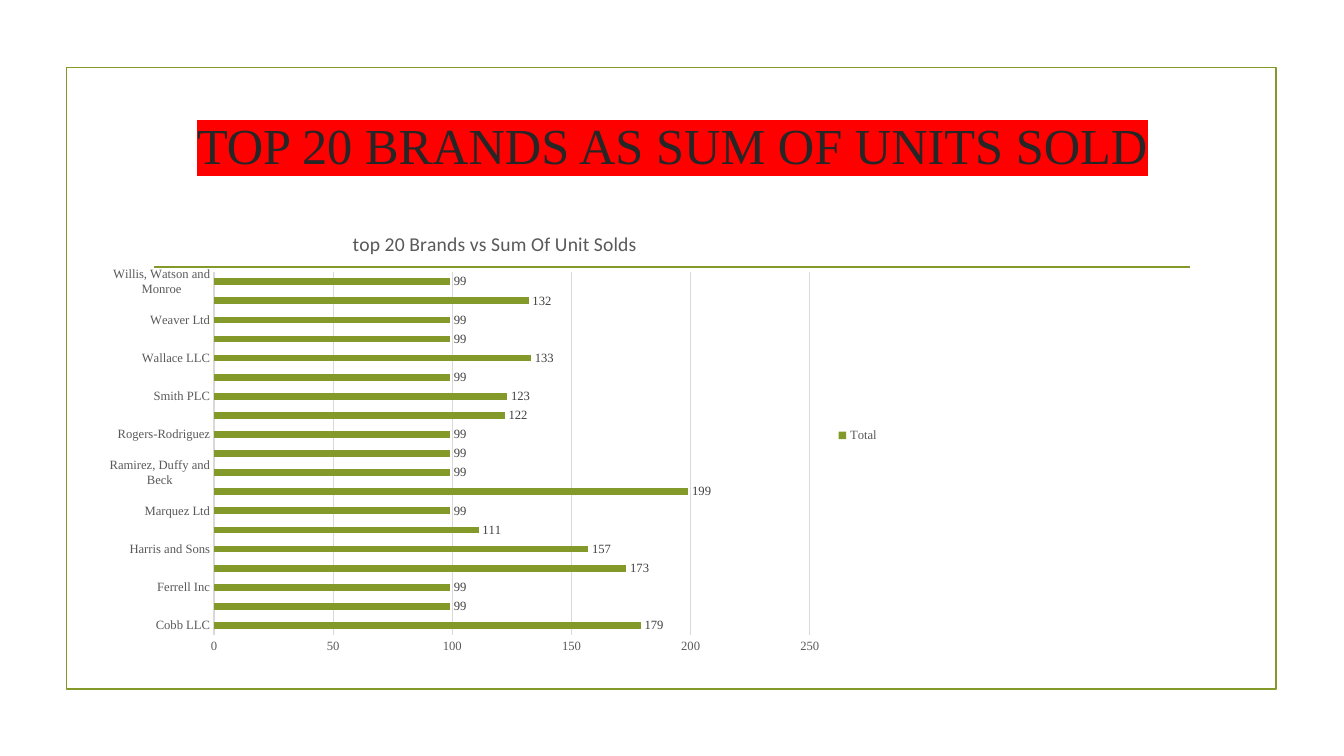
import dataclasses

import lxml.etree
import pptx
import pptx.chart.data
import pptx.dml.color
import pptx.enum.chart
import pptx.enum.shapes
import pptx.enum.text
import pptx.oxml.ns
import pptx.util

Cm = pptx.util.Cm
Pt = pptx.util.Pt

# Content
TITLE = "TOP 20 BRANDS AS SUM OF UNITS SOLD"
CHART_TITLE = "top 20 Brands vs Sum Of Unit Solds"
SERIES_NAME = "Total"
UNITS_SOLD = [
    ("Cobb LLC", 179),
    ("Escobar and Sons", 99),
    ("Ferrell Inc", 99),
    ("Garrett Group", 173),
    ("Harris and Sons", 157),
    ("Johnson LLC", 111),
    ("Marquez Ltd", 99),
    ("Martinez Ltd", 199),
    ("Ramirez, Duffy and Beck", 99),
    ("Ritter-Wilson", 99),
    ("Rogers-Rodriguez", 99),
    ("Sanchez PLC", 122),
    ("Smith PLC", 123),
    ("Smith-Tucker", 99),
    ("Wallace LLC", 133),
    ("Wallace Ltd", 99),
    ("Weaver Ltd", 99),
    ("Williams Ltd", 132),
    ("Willis, Watson and Monroe", 99),
]

# Places: left, top, width, height
FRAME_BOX = (Cm(1.68), Cm(1.7), Cm(30.48), Cm(15.67))
TITLE_BOX = (Cm(3.61), Cm(1.83), Cm(26.67), Cm(3.63))
CHART_BOX = (Cm(2.39), Cm(5.26), Cm(20.02), Cm(11.43))
RULE_LEFT, RULE_RIGHT, RULE_TOP = Cm(3.89), Cm(30), Cm(6.73)

# Places inside the chart, as fractions of its size
CHART_TITLE_PLACE = {"x": 0.32, "y": 0.04}
PLOT_PLACE = {"x": 0.15, "y": 0.14, "w": 0.75, "h": 0.8}


@dataclasses.dataclass(frozen=True)
class Theme:
    green: str = "83992A"
    red: str = "FF0000"
    title_text: str = "262626"
    chart_text: str = "595959"
    label_text: str = "404040"
    grid: str = "D9D9D9"
    font: str = "Times New Roman"
    chart_title_font: str = "Calibri"
    title_size: float = 36
    chart_title_size: float = 14
    chart_size: float = 9
    rule_width: float = 1.25
    grid_width: float = 0.75


THEME = Theme()


def color(value):
    return pptx.dml.color.RGBColor.from_string(value)


def style_font(font, size, value, name=THEME.font):
    font.size = Pt(size)
    font.bold = False
    font.color.rgb = color(value)
    font.name = name


def style_line(line, value, width):
    line.color.rgb = color(value)
    line.width = Pt(width)


def chart_element(parent, tag, **attributes):
    return lxml.etree.SubElement(parent, pptx.oxml.ns.qn(tag), attributes)


def place_inside_chart(element, place, inner=False):
    """Give a chart title or plot area a fixed place."""
    for old in element.findall(pptx.oxml.ns.qn("c:layout")):
        element.remove(old)
    layout = lxml.etree.Element(pptx.oxml.ns.qn("c:layout"))
    manual = chart_element(layout, "c:manualLayout")
    if inner:
        chart_element(manual, "c:layoutTarget", val="inner")
    for key in ("x", "y"):
        chart_element(manual, f"c:{key}Mode", val="edge")
    for key, value in place.items():
        chart_element(manual, f"c:{key}", val=str(value))
    text = element.find(pptx.oxml.ns.qn("c:tx"))
    if text is None:
        element.insert(0, layout)
    else:
        text.addnext(layout)


def add_frame(slide):
    frame = slide.shapes.add_shape(pptx.enum.shapes.MSO_SHAPE.RECTANGLE, *FRAME_BOX)
    frame.shadow.inherit = False
    frame.fill.background()
    style_line(frame.line, THEME.green, THEME.rule_width)

    rule = slide.shapes.add_connector(
        pptx.enum.shapes.MSO_CONNECTOR.STRAIGHT, RULE_LEFT, RULE_TOP, RULE_RIGHT, RULE_TOP
    )
    style_line(rule.line, THEME.green, THEME.rule_width)
    chart_element(rule._element.spPr, "a:effectLst")


def add_title(slide):
    title = slide.shapes.title
    title.left, title.top, title.width, title.height = TITLE_BOX
    title.text_frame.word_wrap = True
    title.text_frame.vertical_anchor = pptx.enum.text.MSO_ANCHOR.MIDDLE
    paragraph = title.text_frame.paragraphs[0]
    paragraph.alignment = pptx.enum.text.PP_ALIGN.CENTER
    run = paragraph.add_run()
    run.text = TITLE
    style_font(run.font, THEME.title_size, THEME.title_text)

    # Red highlight, which follows the text fill
    highlight = lxml.etree.Element(pptx.oxml.ns.qn("a:highlight"))
    chart_element(highlight, "a:srgbClr", val=THEME.red)
    run._r.get_or_add_rPr().find(pptx.oxml.ns.qn("a:solidFill")).addnext(highlight)


def add_units_chart(slide):
    data = pptx.chart.data.CategoryChartData()
    data.categories = [brand for brand, units in UNITS_SOLD]
    data.add_series(SERIES_NAME, [units for brand, units in UNITS_SOLD])
    chart = slide.shapes.add_chart(
        pptx.enum.chart.XL_CHART_TYPE.BAR_CLUSTERED, *CHART_BOX, data
    ).chart
    style_font(chart.font, THEME.chart_size, THEME.chart_text)

    # Chart title
    chart.has_title = True
    run = chart.chart_title.text_frame.paragraphs[0].add_run()
    run.text = CHART_TITLE
    style_font(run.font, THEME.chart_title_size, THEME.chart_text, THEME.chart_title_font)
    place_inside_chart(chart.chart_title._element, CHART_TITLE_PLACE)
    place_inside_chart(chart._chartSpace.chart.plotArea, PLOT_PLACE, inner=True)

    # Legend
    chart.has_legend = True
    chart.legend.position = pptx.enum.chart.XL_LEGEND_POSITION.RIGHT
    chart.legend.include_in_layout = False
    style_font(chart.legend.font, THEME.chart_size, THEME.chart_text)

    # Axes
    for axis in (chart.category_axis, chart.value_axis):
        axis.major_tick_mark = pptx.enum.chart.XL_TICK_MARK.NONE
        axis.minor_tick_mark = pptx.enum.chart.XL_TICK_MARK.NONE
        style_font(axis.tick_labels.font, THEME.chart_size, THEME.chart_text)
    style_line(chart.category_axis.format.line, THEME.grid, THEME.grid_width)
    value_axis = chart.value_axis
    value_axis.minimum_scale, value_axis.maximum_scale = 0, 250
    value_axis.major_unit = 50
    value_axis.format.line.fill.background()
    value_axis.has_major_gridlines = True
    style_line(value_axis.major_gridlines.format.line, THEME.grid, THEME.grid_width)

    # Bars and their values
    plot = chart.plots[0]
    plot.vary_by_categories = False
    plot.gap_width = 182
    series = plot.series[0]
    series.format.fill.solid()
    series.format.fill.fore_color.rgb = color(THEME.green)
    labels = series.data_labels
    labels.show_value = True
    labels.position = pptx.enum.chart.XL_LABEL_POSITION.OUTSIDE_END
    style_font(labels.font, THEME.chart_size, THEME.label_text)


def main():
    presentation = pptx.Presentation()
    presentation.slide_width = Cm(33.87)
    presentation.slide_height = Cm(19.05)
    slide = presentation.slides.add_slide(presentation.slide_layouts.get_by_name("Title Only"))
    add_frame(slide)
    add_title(slide)
    add_units_chart(slide)
    presentation.save("out.pptx")


if __name__ == "__main__":
    main()
